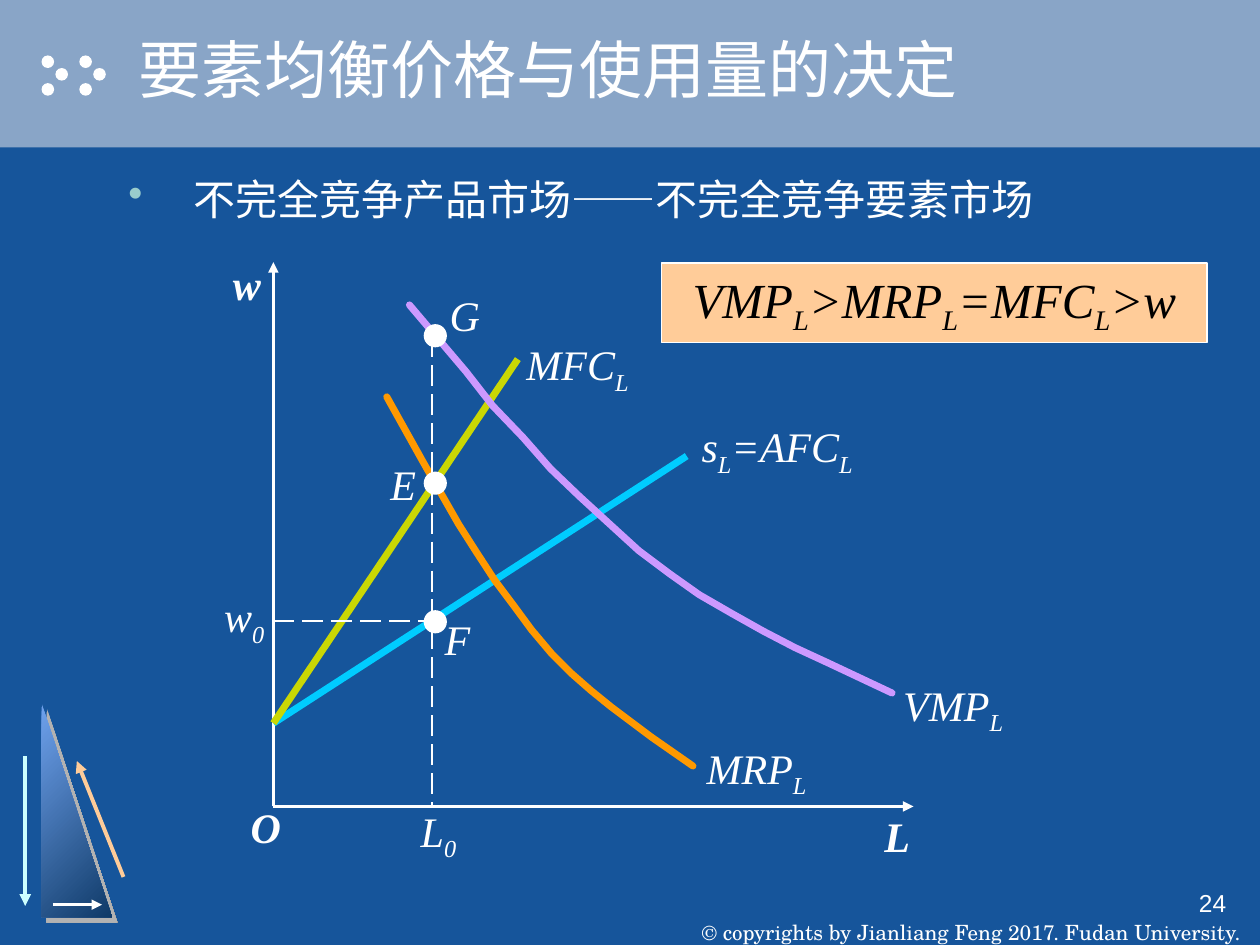
from dataclasses import dataclass

from lxml.etree import SubElement
from pptx import Presentation
from pptx.dml.color import RGBColor
from pptx.enum.dml import MSO_LINE
from pptx.enum.shapes import MSO_CONNECTOR, MSO_SHAPE
from pptx.enum.text import MSO_ANCHOR, PP_ALIGN
from pptx.oxml.ns import qn
from pptx.util import Inches, Pt

WHITE = RGBColor(0xFF, 0xFF, 0xFF)
BLACK = RGBColor(0x00, 0x00, 0x00)
BLUE = RGBColor(0x16, 0x55, 0x9B)
BAND = RGBColor(0x89, 0xA5, 0xC7)
PEACH = RGBColor(0xFF, 0xCC, 0x99)
ICE = RGBColor(0xCC, 0xFF, 0xFF)
TEAL = RGBColor(0x99, 0xCC, 0xCC)
CYAN = RGBColor(0x00, 0xCC, 0xFF)
LIME = RGBColor(0xCA, 0xD7, 0x04)
VIOLET = RGBColor(0xCC, 0x99, 0xFF)
ORANGE = RGBColor(0xFF, 0x99, 0x00)
SKY = RGBColor(0x6F, 0xA2, 0xED)
NAVY = RGBColor(0x0F, 0x3A, 0x68)
GREY = RGBColor(0xB2, 0xB2, 0xB2)

COLUMNS, ROWS = 10, 7.5
COLUMN = ROW = Inches(1)
SERIF = "Times New Roman"


@dataclass
class Box:
    left: float
    top: float
    width: float
    height: float

    def point(self, column, row):
        return int((self.left + column) * COLUMN), int((self.top + row) * ROW)

    def place(self, column, row, width, height):
        return *self.point(column, row), int(width * COLUMN), int(height * ROW)

    def whole(self):
        return self.place(0, 0, self.width, self.height)


def add_shadow(properties, color, distance):
    effects = SubElement(properties, qn("a:effectLst"))
    shadow = SubElement(effects, qn("a:outerShdw"), dist=str(Pt(distance)),
                        dir="2700000", algn="ctr", rotWithShape="0")
    SubElement(shadow, qn("a:srgbClr"), val=str(color))


def add_bullet(paragraph, character, color, indent):
    properties = paragraph._p.get_or_add_pPr()
    properties.set("marL", str(Inches(indent)))
    properties.set("indent", str(-Inches(indent)))
    bullet_color = SubElement(properties, qn("a:buClr"))
    SubElement(bullet_color, qn("a:srgbClr"), val=str(color))
    SubElement(properties, qn("a:buChar"), char=character)


def add_runs(paragraph, text):
    first, *pieces = text.split("_")
    paragraph.add_run().text = first
    for piece in pieces:
        subscript = paragraph.add_run()
        subscript.text = piece[0]
        subscript._r.get_or_add_rPr().set("baseline", "-25000")
        if piece[1:]:
            paragraph.add_run().text = piece[1:]


def write(shape, text, size, name=SERIF, color=WHITE, align=PP_ALIGN.LEFT,
          anchor=MSO_ANCHOR.TOP, wrap=True, bold=False, italic=False, bullet=None):
    frame = shape.text_frame
    frame.word_wrap = wrap
    frame.vertical_anchor = anchor
    paragraph = frame.paragraphs[0]
    paragraph.alignment = align
    if bullet:
        add_bullet(paragraph, *bullet)
    add_runs(paragraph, text)
    font = paragraph.font
    font.size, font.name, font.bold, font.italic = Pt(size), name, bold, italic
    font.color.rgb = color
    return paragraph


def add_solid(slide, kind, place, fill, outline=None):
    shape = slide.shapes.add_shape(kind, *place)
    shape.shadow.inherit = False
    shape.fill.solid()
    shape.fill.fore_color.rgb = fill
    if outline:
        shape.line.color.rgb = outline
        shape.line.width = Pt(1)
    else:
        shape.line.fill.background()
    return shape


def add_line(slide, start, end, color, width, arrow=False, dashed=False):
    line = slide.shapes.add_connector(MSO_CONNECTOR.STRAIGHT, *start, *end)
    line.line.color.rgb = color
    line.line.width = Pt(width)
    if dashed:
        line.line.dash_style = MSO_LINE.LONG_DASH
    if arrow:
        SubElement(line.line._get_or_add_ln(), qn("a:tailEnd"), type="triangle")
    SubElement(line._element.spPr, qn("a:effectLst"))


def add_curve(slide, points, color):
    builder = slide.shapes.build_freeform(*points[0])
    builder.add_line_segments(points[1:], close=False)
    curve = builder.convert_to_shape()
    curve.shadow.inherit = False
    curve.fill.background()
    curve.line.color.rgb = color
    curve.line.width = Pt(4)
    outline = curve.line._get_or_add_ln()
    outline.set("cap", "rnd")
    SubElement(outline, qn("a:round"))


def add_header(slide, box, title):
    add_solid(slide, MSO_SHAPE.RECTANGLE, box.whole(), BAND)
    for column in (0.33, 0.63):
        for shift, row in ((0, 0.44), (0.11, 0.54), (0, 0.66)):
            add_solid(slide, MSO_SHAPE.OVAL, box.place(column + shift, row, 0.1, 0.1), WHITE)
    heading = slide.shapes.add_textbox(*box.place(1, 0, 9, 1.08))
    paragraph = write(heading, title, 36, "Arial", anchor=MSO_ANCHOR.MIDDLE)
    add_shadow(paragraph.runs[0]._r.get_or_add_rPr(), BLACK, 2)


def add_corner_triangle(slide, box):
    triangle = add_solid(slide, MSO_SHAPE.RIGHT_TRIANGLE, box.place(0.13, 0, 0.56, 1.7), SKY)
    triangle.fill.gradient()
    triangle.fill.gradient_angle = 315
    for stop, color, position in zip(triangle.fill.gradient_stops, (SKY, NAVY), (0, 1)):
        stop.color.rgb = color
        stop.position = position
    properties = triangle._element.spPr
    properties.remove(properties.find(qn("a:effectLst")))
    add_shadow(properties, GREY, 4.2)
    for start, end, color, width in (((0, 0.42), (0, 1.61), ICE, 2.25),
                                     ((0.78, 1.38), (0.41, 0.46), PEACH, 2.25),
                                     ((0.22, 1.6), (0.61, 1.6), WHITE, 1.5)):
        add_line(slide, box.point(*start), box.point(*end), color, width, arrow=True)


def add_footer(slide, box):
    credit = slide.shapes.add_textbox(*box.whole())
    credit.text_frame.margin_top = credit.text_frame.margin_bottom = 0
    write(credit, "© copyrights by Jianliang Feng 2017. Fudan University.", 12,
          "TeX Gyre Schola", align=PP_ALIGN.CENTER, anchor=MSO_ANCHOR.BOTTOM, wrap=False)
    number = slide.shapes.add_textbox(*box.place(2.33, 0, 2.08, box.height))
    write(number, "24", 14, "Arial", align=PP_ALIGN.RIGHT)


def add_diagram(slide, box):
    origin = (1.17, 4.4)
    labor, wage = 2.43, 2.93
    for end in ((1.17, 0.08), (6.25, 4.4)):
        add_line(slide, box.point(*origin), box.point(*end), WHITE, 2, arrow=True)
    for end, color in (((4.45, 1.62), CYAN), ((3.11, 0.85), LIME)):
        add_line(slide, box.point(1.17, 3.74), box.point(*end), color, 4)

    value_curve = ((2.25, 0.42), (2.7, 0.95), (2.91, 1.22), (3.15, 1.47), (3.37, 1.72),
                   (3.6, 1.94), (3.84, 2.16), (4.07, 2.37), (4.31, 2.55), (4.55, 2.72),
                   (4.81, 2.87), (5.06, 3.01), (5.31, 3.14), (5.57, 3.26), (6.08, 3.5))
    revenue_curve = ((2.07, 1.15), (2.36, 1.67), (2.64, 2.16), (2.78, 2.38), (2.93, 2.61),
                     (3.08, 2.81), (3.22, 3), (3.38, 3.19), (3.53, 3.34), (3.69, 3.48),
                     (3.85, 3.61), (4.17, 3.85), (4.5, 4.08))
    for curve, color in ((value_curve, VIOLET), (revenue_curve, ORANGE)):
        add_curve(slide, [box.point(*point) for point in curve], color)

    for start, end in (((1.17, wage), (labor, wage)),
                       ((labor, 1.84), (labor, 4.4)),
                       ((labor, 0.67), (labor, 1.79))):
        add_line(slide, box.point(*start), box.point(*end), WHITE, 1.5, dashed=True)
    for row in (0.58, 1.75, 2.85):
        add_solid(slide, MSO_SHAPE.OVAL, box.place(2.37, row, 0.17, 0.17), WHITE, WHITE)

    for text, column, row, width in (("L", 5.92, 4.38, 0.4), ("w", 0.75, 0, 0.42),
                                     ("O", 0.89, 4.31, 0.44)):
        label = slide.shapes.add_textbox(*box.place(column, row, width, 0.5))
        write(label, text, 24, wrap=False, bold=True, italic=True)
    for text, column, row, width in (("G", 2.47, 0.25, 0.44), ("E", 2, 1.59, 0.4),
                                     ("F", 2.43, 2.82, 0.4), ("w_0", 0.68, 2.64, 0.52),
                                     ("L_0", 2.24, 4.34, 0.48), ("VMP_L", 6.07, 3.34, 0.99),
                                     ("MRP_L", 4.51, 3.84, 0.99)):
        label = slide.shapes.add_textbox(*box.place(column, row, width, 0.5))
        write(label, text, 24, wrap=False, italic=True)
    for text, column, row, width in (("s_L=AFC_L", 4.47, 1.2, 1.5),
                                     ("MFC_L", 3.08, 0.55, 1.17)):
        label = slide.shapes.add_textbox(*box.place(column, row, width, 0.65))
        write(label, text, 24, italic=True).line_spacing = 1.2


def add_condition(slide, box):
    panel = add_solid(slide, MSO_SHAPE.RECTANGLE, box.whole(), PEACH, WHITE)
    write(panel, "VMP_L>MRP_L=MFC_L>w", 28, color=BLACK, align=PP_ALIGN.CENTER, italic=True)


def add_topic(slide, box):
    topic = slide.shapes.add_textbox(*box.whole())
    write(topic, "不完全竞争产品市场——不完全竞争要素市场", 24, bullet=("•", TEAL, 0.52))


def main():
    presentation = Presentation()
    presentation.slide_width = int(COLUMNS * COLUMN)
    presentation.slide_height = int(ROWS * ROW)
    slide = presentation.slides.add_slide(presentation.slide_layouts[6])
    slide.background.fill.solid()
    slide.background.fill.fore_color.rgb = BLUE
    add_header(slide, Box(0, 0, COLUMNS, 1.17), "要素均衡价格与使用量的决定")
    add_corner_triangle(slide, Box(0.2, 5.58, 0.8, 1.7))
    add_footer(slide, Box(5.42, 7, 4.58, 0.5))
    add_topic(slide, Box(0.92, 1.33, 8.17, 0.6))
    add_diagram(slide, Box(1, 2, 7.1, 4.9))
    add_condition(slide, Box(5.25, 2.09, 4.33, 0.63))
    presentation.save("out.pptx")


if __name__ == "__main__":
    main()
